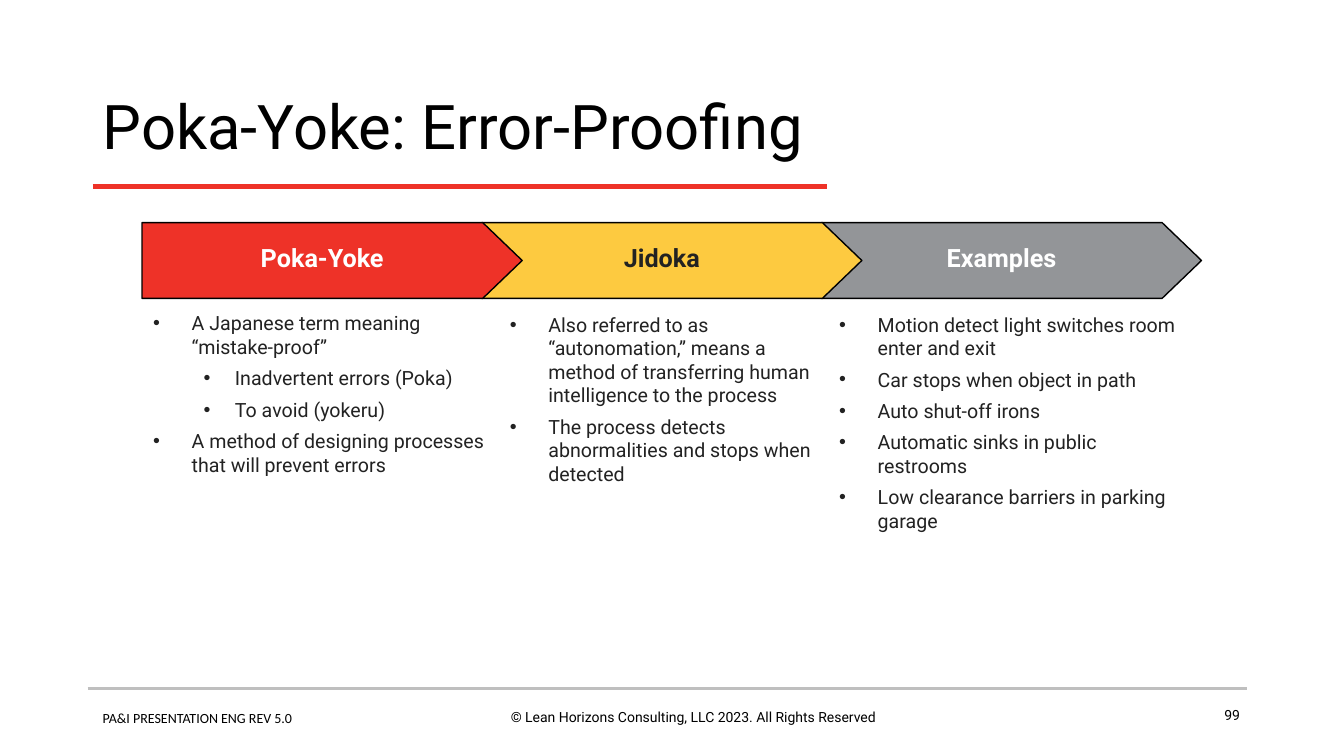
from lxml import etree
from pptx import Presentation
from pptx import util as u
from pptx.dml.color import RGBColor
from pptx.enum import shapes, text
from pptx.oxml.ns import qn

Cm, Pt = u.Cm, u.Pt
HUES = {"red": "EE3228", "gold": "FDCA40", "gray": "939598", "rule": "BFBFBF",
        "ink": "222222", "black": "000000", "white": "FFFFFF"}
ALIGN, MID = text.PP_ALIGN, text.MSO_ANCHOR.MIDDLE


def hue(name):
    return RGBColor.from_string(HUES[name])


def write(frame, lines, size=10, color="black", font="Roboto", bold=False,
          align=ALIGN.LEFT, lead=1.0, gap=0, dots=False, wrap=True, anchor=text.MSO_ANCHOR.TOP):
    frame.word_wrap = wrap
    frame.vertical_anchor = anchor
    for i, (level, words) in enumerate(lines):
        para = frame.paragraphs[0] if i == 0 else frame.add_paragraph()
        para.level = level
        para.alignment = align
        para.line_spacing = lead
        para.space_before = Pt(gap if i else 0)
        para.space_after = Pt(gap)
        if dots:
            left, hang = ((0.97, 0.97), (2.06, 0.79))[level]
            props = para._p.get_or_add_pPr()
            props.set("marL", str(Cm(left)))
            props.set("indent", str(-Cm(hang)))
            etree.SubElement(props, qn("a:buFont")).set("typeface", "Arial")
            etree.SubElement(props, qn("a:buChar")).set("char", "•")
        run = para.add_run()
        run.text = words
        run.font.name = font
        run.font.size = Pt(size)
        run.font.bold = bold
        run.font.color.rgb = hue(color)


deck = Presentation()
deck.slide_width, deck.slide_height = Cm(33.87), Cm(19.05)
slide = deck.slides.add_slide(deck.slide_layouts[6])
items = slide.shapes

labels = [
    ((11.68, 17.73, 11.58, 1.12), "© Lean Horizons Consulting, LLC 2023. All Rights Reserved",
     dict(align=ALIGN.CENTER)),
    ((2.34, 17.75, 11.58, 1.12), "PA&I PRESENTATION ENG REV 5.0", dict(font="Calibri")),
    ((2.34, 1.88, 29.21, 2.79), "Poka-Yoke: Error-Proofing", dict(size=44, lead=0.9, anchor=MID)),
    ((23.88, 17.73, 7.62, 0.91), "99", dict(align=ALIGN.RIGHT, lead=0.9)),
]
for place, words, style in labels:
    box = items.add_textbox(*map(Cm, place))
    write(box.text_frame, [(0, words)], **style)

for left, right, top, color, width in [(2.21, 31.42, 17.35, "rule", 2), (2.34, 20.83, 4.7, "red", 3)]:
    rule = items.add_connector(shapes.MSO_CONNECTOR.STRAIGHT, Cm(left), Cm(top), Cm(right), Cm(top))
    rule.line.color.rgb = hue(color)
    rule.line.width = Pt(width)
    etree.SubElement(rule._element.spPr, qn("a:effectLst"))

steps = [("Poka-Yoke", "red", "white"), ("Jidoka", "gold", "ink"), ("Examples", "gray", "white")]
for i, (words, fill, color) in reversed(list(enumerate(steps))):
    step = items.add_shape(shapes.MSO_SHAPE.PENTAGON, Cm(3.58 + 8.56 * i), Cm(5.61), Cm(9.58), Cm(1.91))
    step.adjustments[0] = 0.52
    step.shadow.inherit = False
    step.fill.solid()
    step.fill.fore_color.rgb = hue(fill)
    step.line.color.rgb = hue("black")
    step.line.width = Pt(1)
    write(step.text_frame, [(0, words)], size=18, color=color, bold=True,
          align=ALIGN.CENTER, lead=0.8, wrap=False, anchor=MID)

columns = [
    (3.61, 7.72, 8.86, [
        (0, "A Japanese term meaning “mistake-proof”"),
        (1, "Inadvertent errors (Poka)"),
        (1, "To avoid (yokeru)"),
        (0, "A method of designing processes that will prevent errors")]),
    (12.6, 7.75, 8.23, [
        (0, "Also referred to as “autonomation,” means a method of transferring "
            "human intelligence to the process"),
        (0, "The process detects abnormalities and stops when detected")]),
    (20.9, 7.75, 8.99, [
        (0, "Motion detect light switches room enter and exit"),
        (0, "Car stops when object in path"),
        (0, "Auto shut-off irons"),
        (0, "Automatic sinks in public restrooms"),
        (0, "Low clearance barriers in parking garage")]),
]
for left, top, width, lines in columns:
    box = items.add_textbox(Cm(left), Cm(top), Cm(width), Cm(6.25))
    write(box.text_frame, lines, size=14, color="ink", gap=2.8, dots=True)

deck.save("out.pptx")
